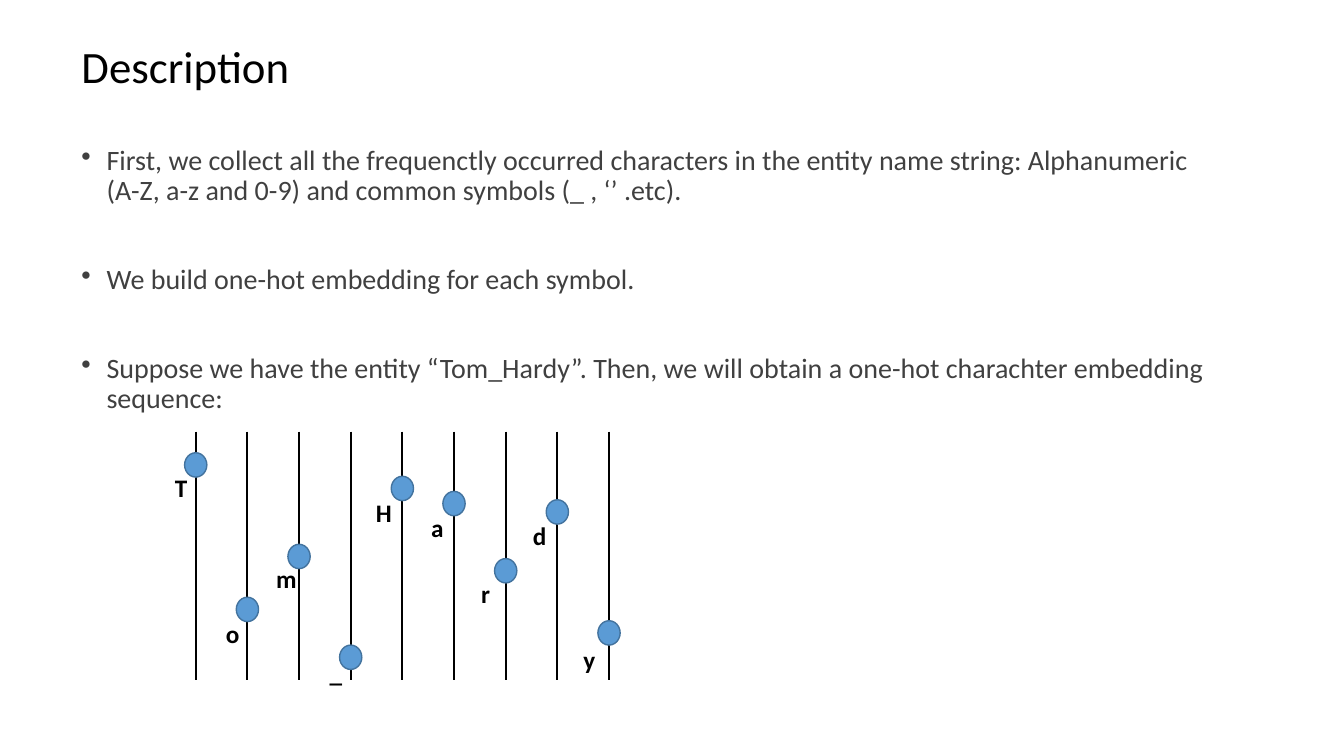
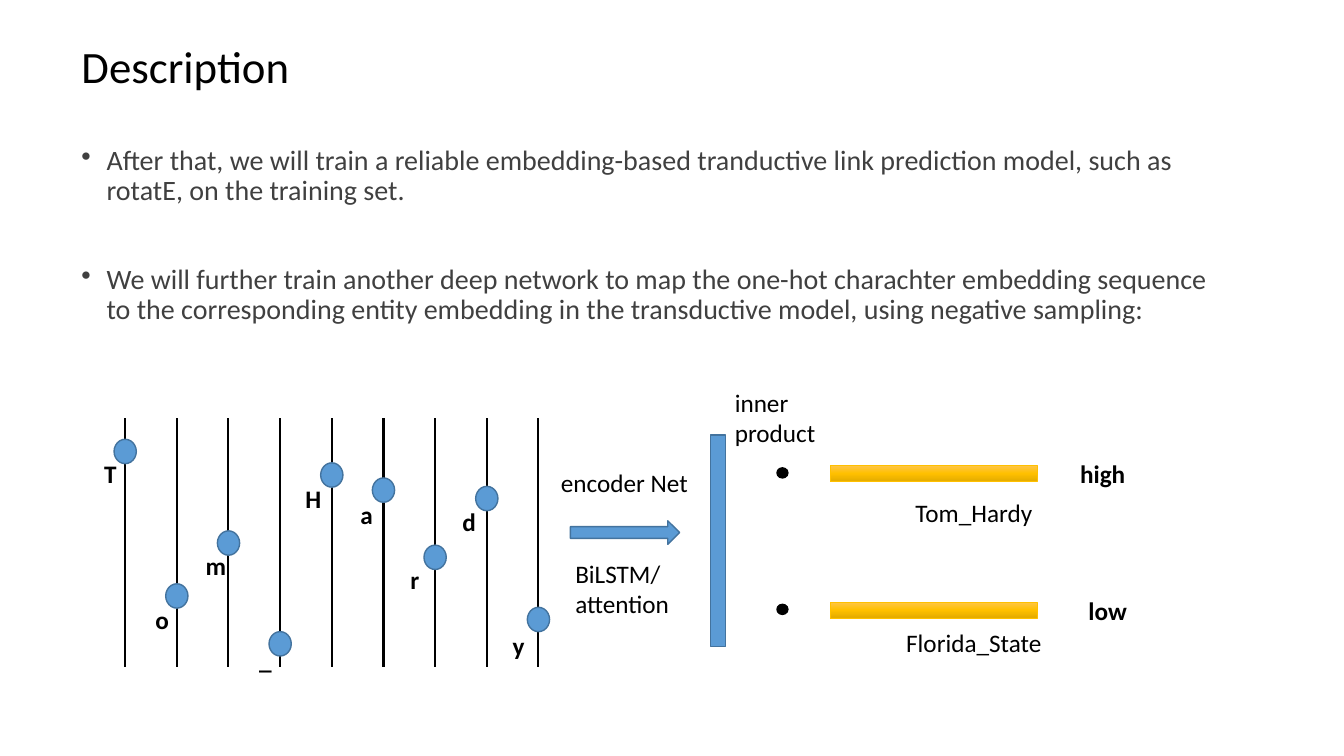
from copy import deepcopy
from dataclasses import dataclass
from typing import NamedTuple

from lxml.etree import SubElement
from pptx import Presentation
from pptx.dml.color import RGBColor
from pptx.enum.shapes import MSO_CONNECTOR, MSO_SHAPE
from pptx.enum.text import MSO_ANCHOR, PP_ALIGN
from pptx.oxml.ns import qn
from pptx.util import Inches, Pt


@dataclass(frozen=True)
class Theme:
    """Colours, font and type sizes of the deck."""

    font: str = "Calibri"
    ink: str = "000000"
    body_ink: str = "404040"
    blue: str = "5B9BD5"
    blue_edge: str = "43739E"
    gold: str = "FFC000"
    gold_light: str = "FFC64B"
    gold_dark: str = "E3AB00"
    title_size: int = 32
    body_size: int = 20
    label_size: int = 18


class Symbol(NamedTuple):
    """A character with its dot and label offsets from the top of its stem."""

    text: str
    dot_drop: float
    label_drop: float
    label_shift: float


class Candidate(NamedTuple):
    """An entity embedding with the score it should get."""

    name: str
    score: str
    top: float
    name_left: float
    name_drop: float
    score_left: float


SYMBOLS = (
    Symbol("T", 2.5, 4.2, -1.75),
    Symbol("o", 19.7, 21.6, -1.75),
    Symbol("m", 13.4, 15.1, -1.5),
    Symbol("_", 25.4, 26.3, -1.75),
    Symbol("H", 5.3, 7.2, -2.2),
    Symbol("a", 7.1, 9, -2),
    Symbol("r", 15.1, 16.8, -2.4),
    Symbol("d", 8.1, 9.9, -2.1),
    Symbol("y", 22.5, 24.7, -2.35),
)
CANDIDATES = (
    Candidate("Tom_Hardy", "high", 55.4, 107.8, 3.2, 127.4),
    Candidate("Florida_State", "low", 71.65, 106.7, 2.5, 128.4),
)


class Deck:
    """Draws slides on a grid of 160 columns by 90 rows."""

    columns, rows = 160, 90
    stem_pitch, stem_height = 6.15, 29.6
    dot_width, dot_height = 2.65, 2.9
    label_width, line_height = 5.4, 4.8

    def __init__(self, theme):
        """Open an empty widescreen deck."""
        self.theme = theme
        self.presentation = Presentation()
        self.presentation.slide_width = Inches(13.33)
        self.presentation.slide_height = Inches(7.5)
        self.page = None

    def place(self, left, top, width, height):
        """Turn grid columns and rows into slide lengths."""
        column = self.presentation.slide_width / self.columns
        row = self.presentation.slide_height / self.rows
        return (round(left * column), round(top * row),
                round(width * column), round(height * row))

    def add_span(self, para, text, size, color, bold=False):
        """Add one formatted run to a paragraph."""
        span = para.add_run()
        span.text = text
        span.font.name = self.theme.font
        span.font.size = Pt(size)
        span.font.bold = bold
        span.font.color.rgb = RGBColor.from_string(color)

    def add_page(self, title, bullets):
        """Start a slide with its title and bullet list."""
        self.page = self.presentation.slides.add_slide(
            self.presentation.slide_layouts[5])
        box = self.page.shapes.title
        box.left, box.top, box.width, box.height = self.place(8.5, 3.4, 138, 9.7)
        box.text_frame.vertical_anchor = MSO_ANCHOR.MIDDLE
        para = box.text_frame.paragraphs[0]
        para.alignment = PP_ALIGN.LEFT
        para.line_spacing = 0.9
        self.add_span(para, title, self.theme.title_size, self.theme.ink)
        self.add_bullets(bullets)

    def add_text_box(self, left, top, width, height):
        """Add an empty wrapping text box and return its frame."""
        box = self.page.shapes.add_textbox(*self.place(left, top, width, height))
        box.text_frame.word_wrap = True
        return box.text_frame

    def add_bullets(self, bullets):
        """Add the widely spaced bullet list under the title."""
        frame = self.add_text_box(8.5, 16.8, 138, 64.2)
        for index, text in enumerate(bullets):
            para = frame.add_paragraph() if index else frame.paragraphs[0]
            para.line_spacing = 0.9
            para.space_before = Pt(42 if index else 0)
            properties = para._p.get_or_add_pPr()
            properties.set("marL", str(Inches(0.25)))
            properties.set("indent", str(Inches(-0.25)))
            SubElement(properties, qn("a:buChar")).set("char", "•")
            self.add_span(para, text, self.theme.body_size, self.theme.body_ink)

    def add_label(self, lines, left, top, width, bold=False,
                  alignment=PP_ALIGN.LEFT):
        """Add a label with one paragraph per line."""
        frame = self.add_text_box(left, top, width, self.line_height * len(lines))
        for index, text in enumerate(lines):
            para = frame.add_paragraph() if index else frame.paragraphs[0]
            para.alignment = alignment
            self.add_span(para, text, self.theme.label_size, self.theme.ink, bold)

    def add_figure(self, kind, area, fill, edge, weight=1):
        """Add a preset shape with a plain fill and an outline."""
        shape = self.page.shapes.add_shape(kind, *self.place(*area))
        shape.shadow.inherit = False
        shape.fill.solid()
        shape.fill.fore_color.rgb = RGBColor.from_string(fill)
        shape.line.color.rgb = RGBColor.from_string(edge)
        shape.line.width = Pt(weight)
        return shape

    def add_gold_bar(self, left, top):
        """Add an entity embedding bar shaded from light to dark gold."""
        theme = self.theme
        bar = self.add_figure(MSO_SHAPE.RECTANGLE, (left, top, 24.7, 1.95),
                              theme.gold, theme.gold, 0.5)
        bar.fill.gradient()
        bar.fill.gradient_angle = 270
        stop_list = bar.element.spPr.find(qn("a:gradFill")).find(qn("a:gsLst"))
        stop_list.append(deepcopy(stop_list[0]))
        colors = (theme.gold_light, theme.gold, theme.gold_dark)
        for index, (stop, color) in enumerate(zip(bar.fill.gradient_stops, colors)):
            stop.position = index / 2
            stop.color.rgb = RGBColor.from_string(color)

    def add_stem(self, left, top):
        """Add the vertical line of one one-hot vector."""
        x, y, _, height = self.place(left, top, 0, self.stem_height)
        stem = self.page.shapes.add_connector(
            MSO_CONNECTOR.STRAIGHT, x, y, x, y + height)
        stem.line.color.rgb = RGBColor.from_string(self.theme.ink)
        stem.line.width = Pt(1.5)
        SubElement(stem.element.spPr, qn("a:effectLst"))

    def add_sequence(self, symbols, left, top):
        """Add the one-hot sequence of an entity name."""
        for index, symbol in enumerate(symbols):
            stem = left + index * self.stem_pitch
            self.add_stem(stem, top)
            dot = (stem - self.dot_width / 2, top + symbol.dot_drop,
                   self.dot_width, self.dot_height)
            self.add_figure(MSO_SHAPE.OVAL, dot, self.theme.blue,
                            self.theme.blue_edge)
            self.add_label([symbol.text],
                           stem + symbol.label_shift - self.label_width / 2,
                           top + symbol.label_drop, self.label_width,
                           bold=True, alignment=PP_ALIGN.CENTER)

    def add_encoder(self):
        """Add the encoder arrow and the vector it produces."""
        blue, edge = self.theme.blue, self.theme.blue_edge
        self.add_label(["encoder Net"], 65.6, 55.1, 19)
        self.add_figure(MSO_SHAPE.RIGHT_ARROW, (67.9, 62, 13, 2.8), blue, edge)
        self.add_label(["BiLSTM/", "attention"], 67.3, 65.9, 14.2)
        self.add_figure(MSO_SHAPE.RECTANGLE, (84.6, 51.8, 1.8, 25.2), blue, edge)
        self.add_label(["inner", "product"], 86.3, 45.5, 12.9)

    def add_candidate(self, candidate):
        """Add the product dot, bar, name and score of one entity."""
        ink, top = self.theme.ink, candidate.top
        self.add_figure(MSO_SHAPE.OVAL, (92.5, top + 0.3, 1.3, 1.2), ink, ink)
        self.add_gold_bar(98.8, top)
        self.add_label([candidate.name], candidate.name_left,
                       top + candidate.name_drop, 22.4)
        self.add_label([candidate.score], candidate.score_left, top - 1.4, 9,
                       bold=True)


def main():
    """Build and save the two description slides."""
    deck = Deck(Theme())
    deck.add_page("Description", (
        "First, we collect all the frequenctly occurred characters in the entity "
        "name string: Alphanumeric (A-Z, a-z and 0-9) and common symbols "
        "(_ , ‘’ .etc).",
        "We build one-hot embedding for each symbol.",
        "Suppose we have the entity “Tom_Hardy”. Then, we will obtain a one-hot "
        "charachter embedding sequence:",
    ))
    deck.add_sequence(SYMBOLS, 23.3, 51.4)

    deck.add_page("Description", (
        "After that, we will train a reliable embedding-based tranductive link "
        "prediction model, such as rotatE, on the training set.",
        "We will further train another deep network to map the one-hot charachter "
        "embedding sequence to the corresponding entity embedding in the "
        "transductive model, using negative sampling:",
    ))
    deck.add_sequence(SYMBOLS, 14.9, 49.8)
    deck.add_encoder()
    for candidate in CANDIDATES:
        deck.add_candidate(candidate)
    deck.presentation.save("out.pptx")


if __name__ == "__main__":
    main()
